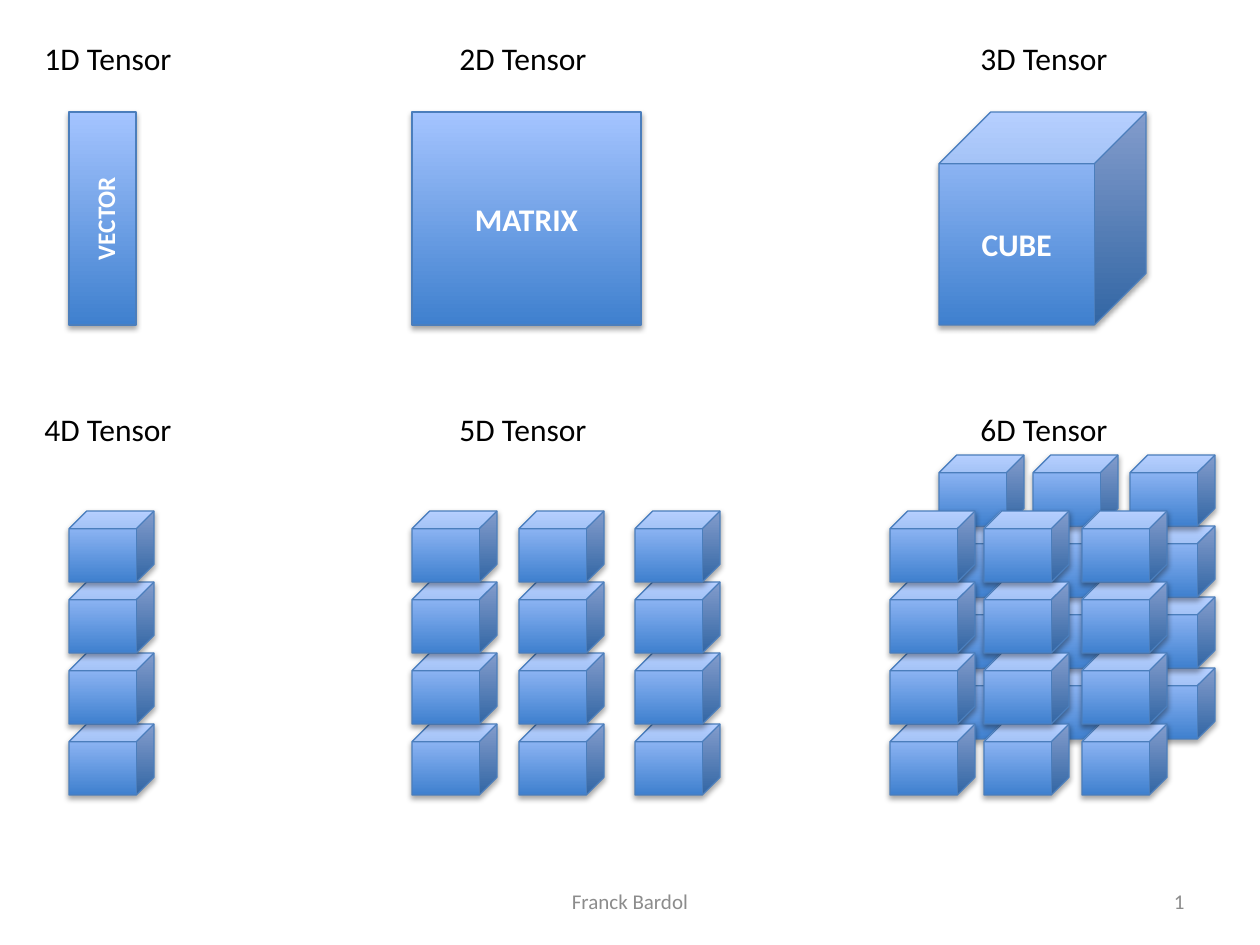
import pptx
import pptx.util
from lxml import etree
from pptx.dml.color import RGBColor
from pptx.enum.shapes import MSO_SHAPE
from pptx.enum.text import MSO_ANCHOR, MSO_AUTO_SIZE, PP_ALIGN
from pptx.oxml.ns import qn

PIXELS_PER_INCH = 126

BLACK = RGBColor(0x00, 0x00, 0x00)
WHITE = RGBColor(0xFF, 0xFF, 0xFF)
GREY = RGBColor(0x8C, 0x8C, 0x8C)
DARK_BLUE = RGBColor(0x3F, 0x80, 0xCE)
LIGHT_BLUE = RGBColor(0xA4, 0xC4, 0xFF)
OUTLINE_BLUE = RGBColor(0x4B, 0x7E, 0xBC)

LABEL_FONT = {"name": "Calibri", "size": pptx.util.Pt(18)}
SHAPE_FONT = {**LABEL_FONT, "bold": True}
FOOTER_FONT = {"name": "Calibri", "size": pptx.util.Pt(12)}

# Grid of the small cubes, in px
CUBE_WIDTH, CUBE_HEIGHT = 85, 71
CUBES_PER_COLUMN = 4


def px(length):
    return pptx.util.Emu(round(length * 914400 / PIXELS_PER_INCH))


def set_attributes(target, values):
    for name, value in values.items():
        setattr(target, name, value)


def write_text(shape, text, font, color, alignment, frame_format):
    frame = shape.text_frame
    set_attributes(frame, frame_format)
    paragraph = frame.paragraphs[0]
    paragraph.alignment = alignment
    run = paragraph.add_run()
    run.text = text
    set_attributes(run.font, font)
    run.font.color.rgb = color
    return run


def add_shadow(shape):
    shape.shadow.inherit = False
    effects = shape._element.spPr.find(qn("a:effectLst"))
    shadow = etree.SubElement(effects, qn("a:outerShdw"), {
        "blurRad": "40000", "dist": "23000", "dir": "5400000", "rotWithShape": "0"})
    color = etree.SubElement(shadow, qn("a:srgbClr"), val="000000")
    etree.SubElement(color, qn("a:alpha"), val="35000")


def add_block(slide, kind, left, top, width, height):
    """Add a rectangle or cube in the shared blue gradient."""
    shape = slide.shapes.add_shape(kind, px(left), px(top), px(width), px(height))
    shape.fill.gradient()
    shape.fill.gradient_angle = 90
    for stop, color in zip(shape.fill.gradient_stops, (DARK_BLUE, LIGHT_BLUE)):
        stop.color.rgb = color
    shape.line.color.rgb = OUTLINE_BLUE
    shape.line.width = pptx.util.Pt(0.75)
    add_shadow(shape)
    return shape


def add_named_block(slide, kind, left, width, text):
    shape = add_block(slide, kind, left, 112, width, 213)
    run = write_text(shape, text, SHAPE_FONT, WHITE, PP_ALIGN.CENTER,
                     {"vertical_anchor": MSO_ANCHOR.MIDDLE})
    return shape, run


def add_cube_columns(slide, lefts, bottom):
    """Stack the cubes of each column from the bottom upwards."""
    for left in lefts:
        for level in range(1, CUBES_PER_COLUMN + 1):
            add_block(slide, MSO_SHAPE.CUBE, left, bottom - level * CUBE_HEIGHT,
                      CUBE_WIDTH, CUBE_HEIGHT)


def add_label(slide, left, top, text):
    box = slide.shapes.add_textbox(px(left), px(top), px(156), px(50))
    write_text(box, text, LABEL_FONT, BLACK, PP_ALIGN.LEFT,
               {"word_wrap": False, "auto_size": MSO_AUTO_SIZE.SHAPE_TO_FIT_TEXT})


def add_footer(slide, left, width, text, alignment):
    box = slide.shapes.add_textbox(px(left), px(876), px(width), px(50))
    write_text(box, text, FOOTER_FONT, GREY, alignment,
               {"word_wrap": True, "vertical_anchor": MSO_ANCHOR.MIDDLE})


def main():
    presentation = pptx.Presentation()
    set_attributes(presentation, {"slide_width": px(1260), "slide_height": px(945)})
    slide = presentation.slides.add_slide(presentation.slide_layouts[6])

    # Top row: vector, matrix and cube
    vector, vector_run = add_named_block(slide, MSO_SHAPE.RECTANGLE, 69, 67, "vector")
    vector.text_frame._txBody.bodyPr.set("vert", "vert270")
    vector_run.font._element.set("cap", "small")
    add_named_block(slide, MSO_SHAPE.RECTANGLE, 412, 229, "MATRIX")
    add_named_block(slide, MSO_SHAPE.CUBE, 939, 207, "CUBE")

    # Bottom row: one column, three columns, then two layers of columns
    add_cube_columns(slide, [69], 795)
    add_cube_columns(slide, [412, 519, 635], 795)
    add_cube_columns(slide, [939, 1033, 1130], 739)
    add_cube_columns(slide, [890, 984, 1082], 795)

    # Labels, numbered row by row
    label_lefts = (32, 447, 968)
    for index in range(6):
        row, column = divmod(index, len(label_lefts))
        add_label(slide, label_lefts[column], 33 + row * 371, f"{index + 1}D Tensor")

    # Footer
    add_footer(slide, 430, 400, "Franck Bardol", PP_ALIGN.CENTER)
    add_footer(slide, 903, 294, "1", PP_ALIGN.RIGHT)

    presentation.save("out.pptx")


if __name__ == "__main__":
    main()
